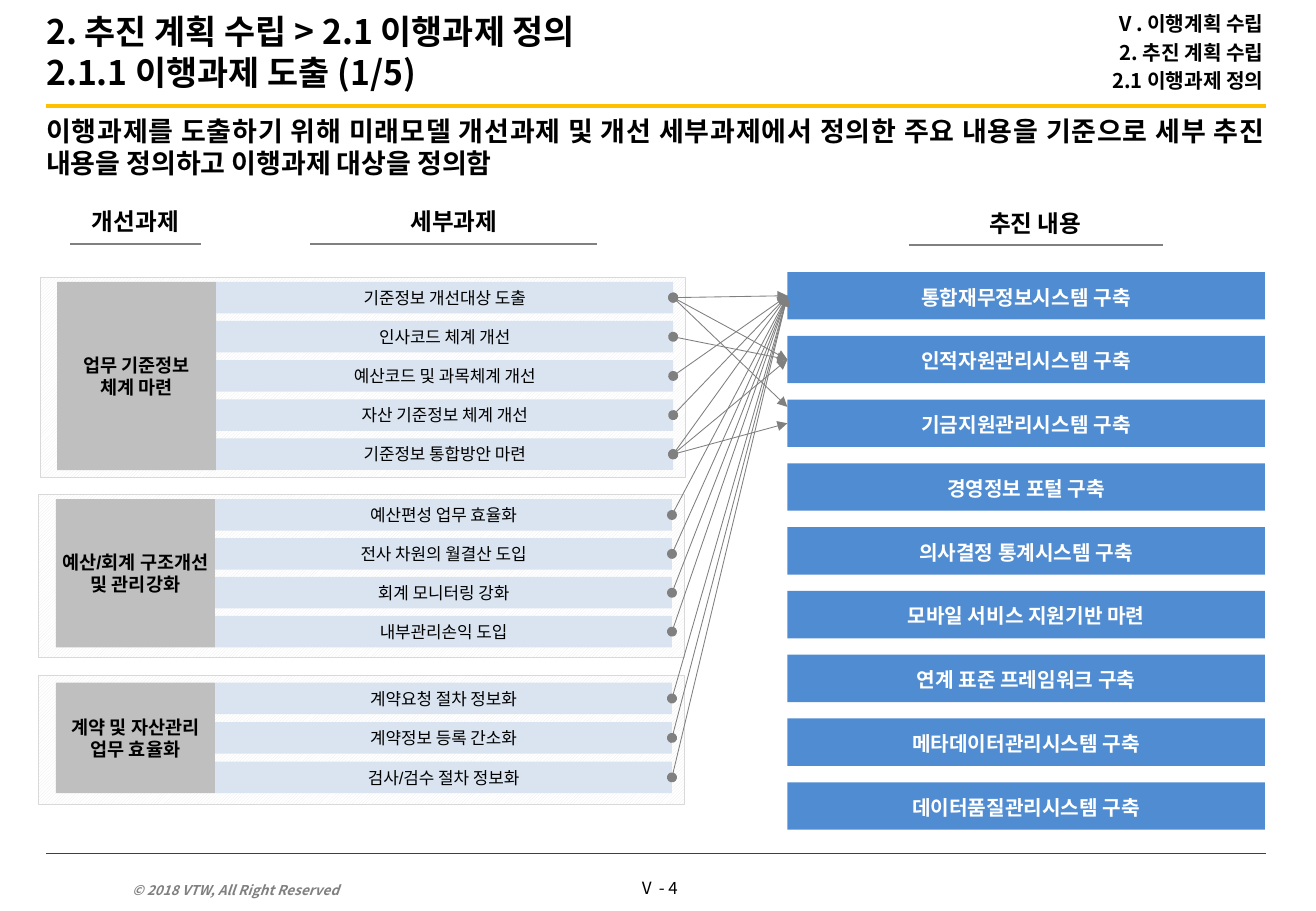
from dataclasses import dataclass

from pptx import Presentation
from pptx import util as u
from pptx.dml.color import RGBColor
from pptx.enum import dml, shapes, text
from pptx.oxml import parse_xml
from pptx.oxml.ns import nsdecls

# ---- Content ----
TITLE = "2. 추진 계획 수립 > 2.1 이행과제 정의\v2.1.1 이행과제 도출 (1/5)"
BREADCRUMB = ["Ⅴ. 이행계획 수립", "2. 추진 계획 수립", "2.1 이행과제 정의"]
MESSAGE = ["이행과제를 도출하기 위해 미래모델 개선과제 및 개선 세부과제에서 정의한 주요 내용을 "
           "기준으로 세부 추진 내용을 정의하고 이행과제 대상을 정의함"]
COPYRIGHT = "© 2018 VTW, All Right Reserved"
PAGE = "Ⅴ - 4"

# Heading, text box (left, top, width), rule (left, right, y)
HEADINGS = [
    ("개선과제", (0.62, 1.65, 0.99), (0.58, 1.65, 2.01)),
    ("세부과제", (3.24, 1.65, 0.99), (2.55, 4.91, 2.01)),
    ("추진 내용", (7.74, 1.67, 1.56), (7.48, 9.57, 2.02)),
]
# Task, frame (left, top, height), task box (top, height), subtasks with target numbers
TASKS = [
    ("업무 기준정보\v체계 마련", (0.33, 2.28, 1.65), (2.32, 1.55), [
        ("기준정보 개선대상 도출", [0, 1]),
        ("인사코드 체계 개선", [1]),
        ("예산코드 및 과목체계 개선", [0]),
        ("자산 기준정보 체계 개선", [0]),
        ("기준정보 통합방안 마련", [0, 1, 2]),
    ]),
    ("예산/회계 구조개선 및 관리강화", (0.32, 4.07, 1.34), (4.11, 1.22), [
        ("예산편성 업무 효율화", [0]),
        ("전사 차원의 월결산 도입", [0]),
        ("회계 모니터링 강화", [0]),
        ("내부관리손익 도입", [0]),
    ]),
    ("계약 및 자산관리 업무 효율화", (0.32, 5.56, 1.06), (5.62, 0.91), [
        ("계약요청 절차 정보화", [0]),
        ("계약정보 등록 간소화", [0]),
        ("검사/검수 절차 정보화", [0]),
    ]),
]
TARGETS = ["통합재무정보시스템 구축", "인적자원관리시스템 구축", "기금지원관리시스템 구축",
           "경영정보 포털 구축", "의사결정 통계시스템 구축", "모바일 서비스 지원기반 마련",
           "연계 표준 프레임워크 구축", "메타데이터관리시스템 구축", "데이터품질관리시스템 구축"]


@dataclass(frozen=True)
class Theme:
    main: str = "Noto Sans CJK KR"
    label: str = "Arial"
    ink: str = "000000"
    white: str = "FFFFFF"
    gray: str = "808080"
    accent: str = "FFC000"
    footer_rule: str = "404040"
    hatch: str = "EAEAEA"
    frame: str = "D9D9D9"
    task: str = "BFBFBF"
    subtask: str = "DAE4F0"
    target: str = "508CD2"
    title_size: int = 20
    message_size: int = 16
    heading_size: int = 14
    target_size: int = 12
    task_size: int = 11
    subtask_size: int = 10
    copyright_size: int = 8
    leading: float = 1.2


T = Theme()
LEFT, RIGHT = 0.38, 10.42
TASK_INDENT, TASK_W, SUBTASK_W, SUBTASK_H, FRAME_W = 0.14, 1.31, 3.76, 0.26, 5.31
TARGET_LEFT, TARGET_W, TARGET_H, TARGET_FIRST, TARGET_LAST = 6.48, 3.93, 0.39, 2.24, 6.44
ALIGN, ANCHOR = text.PP_ALIGN, text.MSO_ANCHOR

deck = Presentation()
deck.slide_width, deck.slide_height = u.Inches(10.83), u.Inches(7.5)
slide = deck.slides.add_slide(deck.slide_layouts[3])


def rgb(color):
    return RGBColor.from_string(color)


def write(part, lines, size, color=T.ink, font=T.label, bold=True, italic=False,
          align=ALIGN.CENTER, anchor=ANCHOR.MIDDLE, insets=(0, 0, 0, 0), wrap=True, gap=0):
    frame = part.text_frame
    frame.auto_size, frame.word_wrap = text.MSO_AUTO_SIZE.NONE, wrap
    frame.vertical_anchor = anchor
    (frame.margin_left, frame.margin_top,
     frame.margin_right, frame.margin_bottom) = map(u.Inches, insets)
    for number, line in enumerate(lines):
        paragraph = frame.add_paragraph() if number else frame.paragraphs[0]
        paragraph.text = line
        props = paragraph._p.get_or_add_pPr()
        props.set("marL", "0")
        props.set("indent", "0")
        props.append(parse_xml(f"<a:buNone {nsdecls('a')}/>"))
        paragraph.alignment = align
        paragraph.line_spacing = u.Pt(size * T.leading)
        paragraph.space_before = u.Pt(gap if number else 0)
        for run in paragraph.runs:
            run.font.name, run.font.size = font, u.Pt(size)
            run.font.bold, run.font.italic = bold, italic
            run.font.color.rgb = rgb(color)
            run._r.get_or_add_rPr().append(
                parse_xml(f'<a:ea {nsdecls("a")} typeface="{T.main}"/>'))


def place(part, left, top, width, height):
    part.left, part.top, part.width, part.height = map(u.Inches, (left, top, width, height))
    return part


def text_box(*box):
    return slide.shapes.add_textbox(*map(u.Inches, box))


def rectangle(box, fill=None):
    rect = slide.shapes.add_shape(shapes.MSO_SHAPE.RECTANGLE, *map(u.Inches, box))
    rect.shadow.inherit = False
    rect.line.fill.background()
    if fill:
        rect.fill.solid()
        rect.fill.fore_color.rgb = rgb(fill)
    return rect


def rule(x1, y1, x2, y2, color, width):
    line = slide.shapes.add_connector(shapes.MSO_CONNECTOR.STRAIGHT,
                                      *map(u.Inches, (x1, y1, x2, y2)))
    line.line.color.rgb, line.line.width = rgb(color), u.Pt(width)
    line._element.spPr.append(parse_xml(f"<a:effectLst {nsdecls('a')}/>"))
    return line


def arrow(source, target, end_y=None):
    link = rule(0, 0, TARGET_LEFT, end_y or 0, T.gray, 0.5)
    link.begin_connect(source, 3)
    if end_y is None:
        link.end_connect(target, 1)
    outline = link.line._get_or_add_ln()
    for tag, kind in (("headEnd", "oval"), ("tailEnd", "triangle")):
        outline.append(parse_xml(f'<a:{tag} {nsdecls("a")} type="{kind}"/>'))


# Header and footer
rule(LEFT, 0.87, RIGHT, 0.87, T.accent, 2.5)
rule(LEFT, 7.03, RIGHT, 7.03, T.footer_rule, 0.5)
title, message, breadcrumb = slide.placeholders
write(place(title, LEFT, 0, 7.87, 0.85), [TITLE], T.title_size, font=T.main,
      align=ALIGN.LEFT, insets=(0, 0.05, 0.1, 0.05))
write(place(message, LEFT, 0.94, RIGHT - LEFT, 0.68), MESSAGE, T.message_size, font=T.main,
      align=ALIGN.JUSTIFY, anchor=ANCHOR.TOP)
write(place(breadcrumb, 4.94, 0, 5.46, 0.86), BREADCRUMB, T.target_size, font=T.main,
      align=ALIGN.RIGHT, insets=(0, 0.05, 0, 0.05), gap=2.4)
write(text_box(0.99, 7.17, 2.37, 0.27), [COPYRIGHT], T.copyright_size, T.gray, T.main,
      italic=True, align=ALIGN.LEFT, anchor=ANCHOR.BOTTOM, insets=(0.1, 0.05, 0.1, 0.05))
write(text_box(5.12, 7.18, 0.59, 0.27), [PAGE], T.subtask_size, font=T.main, bold=False,
      anchor=ANCHOR.TOP, insets=(0.06, 0.05, 0.06, 0.05), wrap=False)

# Column headings
for heading, (left, top, width), (start, end, y) in HEADINGS:
    write(text_box(left, top, width, 0.35), [heading], T.heading_size,
          anchor=ANCHOR.TOP, insets=(0.1, 0.05, 0.1, 0.05), wrap=False)
    rule(start, y, end, y, T.gray, 1)

# Tasks with their subtasks
links = []
for task, (left, frame_top, frame_h), (top, height), subtasks in TASKS:
    frame = rectangle((left, frame_top, FRAME_W, frame_h))
    frame.fill.patterned()
    frame.fill.pattern = dml.MSO_PATTERN.DARK_UPWARD_DIAGONAL
    frame.fill.fore_color.rgb, frame.fill.back_color.rgb = rgb(T.hatch), rgb(T.white)
    frame.line.color.rgb, frame.line.width = rgb(T.frame), u.Pt(0.5)
    task_left = left + TASK_INDENT
    write(rectangle((task_left, top, TASK_W, height), T.task), [task], T.task_size,
          insets=(0.04, 0, 0.04, 0))
    pitch = (height - SUBTASK_H) / (len(subtasks) - 1)
    for row, (subtask, numbers) in enumerate(subtasks):
        bar = rectangle((task_left + TASK_W, top + row * pitch, SUBTASK_W, SUBTASK_H), T.subtask)
        write(bar, [subtask], T.subtask_size, bold=False, insets=(0.02,) * 4)
        links.append((bar, numbers))

# Targets
target_pitch = (TARGET_LAST - TARGET_FIRST) / (len(TARGETS) - 1)
target_bars = []
for row, target in enumerate(TARGETS):
    bar = rectangle((TARGET_LEFT, TARGET_FIRST + row * target_pitch, TARGET_W, TARGET_H), T.target)
    write(bar, [target], T.target_size, T.white, insets=(0.02, 0.04, 0.02, 0.02))
    target_bars.append(bar)

# Arrows from subtasks to targets; one ends near the corner of the third target
for bar, numbers in links:
    for number in numbers:
        arrow(bar, target_bars[number])
arrow(links[0][0], target_bars[2], end_y=3.35)

deck.save("out.pptx")
